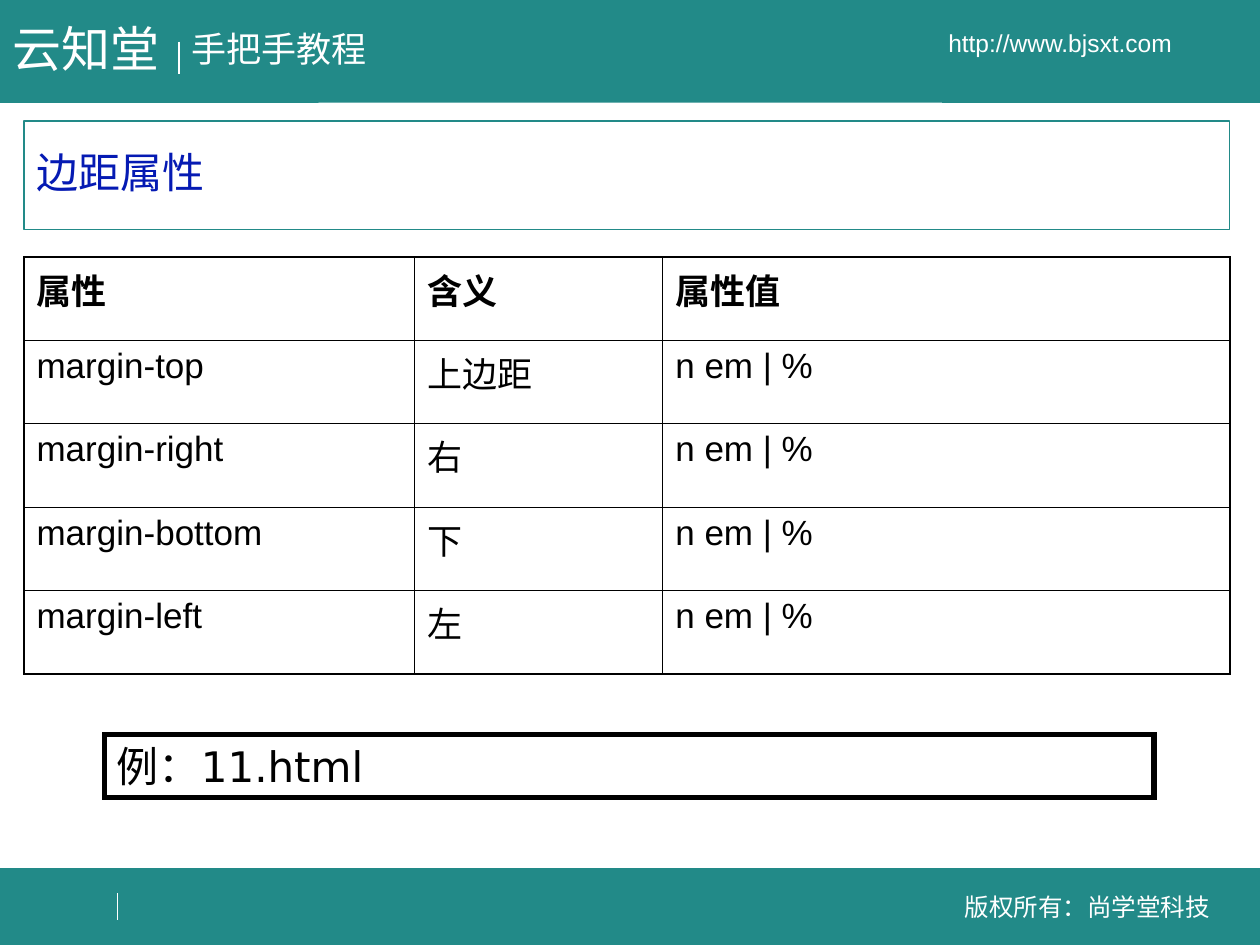
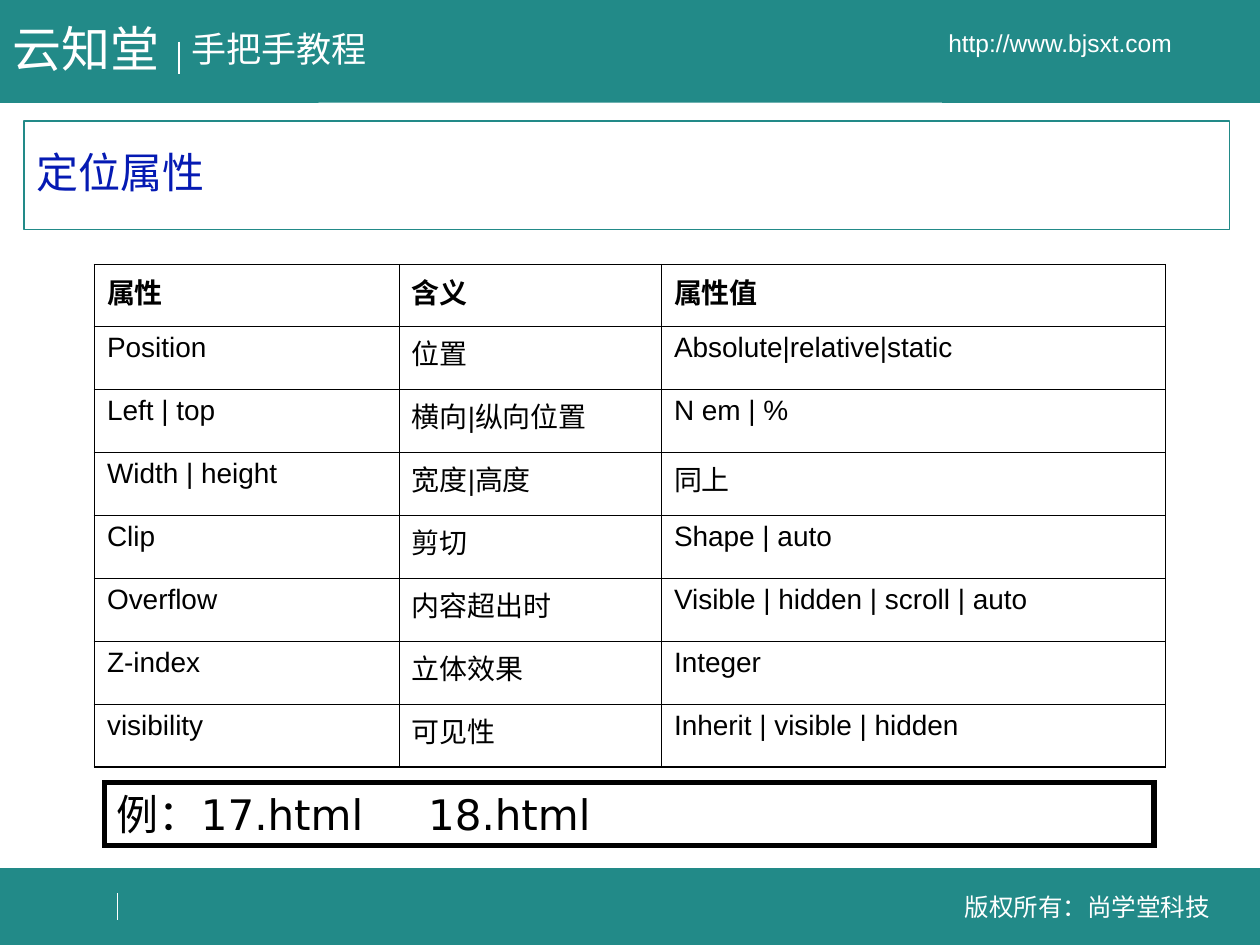
from dataclasses import dataclass
from typing import NamedTuple

import pptx
import pptx.dml.color
import pptx.enum.shapes
import pptx.enum.text
import pptx.oxml.ns
import pptx.util
from lxml import etree
from pptx.util import Inches

ALIGN = pptx.enum.text.PP_ALIGN
ANCHOR = pptx.enum.text.MSO_ANCHOR
AUTO_SIZE = pptx.enum.text.MSO_AUTO_SIZE


@dataclass(frozen=True)
class Theme:
    teal: str = "228A88"
    white: str = "FFFFFF"
    black: str = "000000"
    title_blue: str = "051AB3"
    body_font: str = "Arial"
    example_font: str = "DejaVu Sans"
    school_size: int = 28
    title_size: int = 24
    series_size: int = 20
    compact_size: int = 16
    small_size: int = 14
    hairline: float = 0.25
    rule: float = 0.75
    grid: float = 0.45
    frame: float = 1.08
    example_frame: float = 3


THEME = Theme()


class Box(NamedTuple):
    left: float
    top: float
    width: float
    height: float

    def lengths(self) -> list[int]:
        return [Inches(value) for value in self]


class Label(NamedTuple):
    text: str
    box: Box
    size: int
    space_after: int = 0
    centred: bool = False


class Divider(NamedTuple):
    x: float
    top: float
    bottom: float


@dataclass(frozen=True)
class PropertyTable:
    box: Box
    columns: tuple[float, ...]
    header_height: float
    size: int
    space_after: int
    rows: tuple[tuple[str, str, str], ...]


@dataclass(frozen=True)
class Lesson:
    title: str
    properties: PropertyTable
    examples: str
    examples_top: float


HEADINGS = ("属性", "含义", "属性值")
BANDS = (Box(0, 6.89, 10, 0.61), Box(0, 0, 10, 0.81))
DIVIDERS = (Divider(1.42, 0.33, 0.59), Divider(0.93, 7.09, 7.3))
LABELS = (
    Label("手把手教程", Box(1.42, 0.17, 1.65, 0.44), THEME.series_size, 5),
    Label("版权所有：尚学堂科技", Box(7.47, 7.03, 2.32, 0.34), THEME.small_size, centred=True),
    Label("http://www.bjsxt.com", Box(6.83, 0.17, 3.17, 0.34), THEME.small_size, centred=True),
    Label("云知堂", Box(0, 0.1, 1.42, 0.57), THEME.school_size, 7),
)
TITLE_BOX = Box(0.19, 0.96, 9.57, 0.86)
SECOND_EXAMPLE_TAB = 2.47

LESSONS = (
    Lesson(
        "边距属性",
        PropertyTable(
            Box(0.19, 2.04, 9.57, 3.31), (3.1, 1.97, 4.5), 0.66, THEME.series_size, 5,
            tuple(
                (f"margin-{side}", meaning, "n em | %")
                for side, meaning in (
                    ("top", "上边距"), ("right", "右"), ("bottom", "下"), ("left", "左"),
                )
            ),
        ),
        "例：11.html",
        5.83,
    ),
    Lesson(
        "定位属性",
        PropertyTable(
            Box(0.75, 2.1, 8.5, 3.99), (2.42, 2.08, 4), 0.49, THEME.compact_size, 4,
            (
                ("Position", "位置", "Absolute|relative|static"),
                ("Left | top", "横向|纵向位置", "N em | %"),
                ("Width | height", "宽度|高度", "同上"),
                ("Clip", "剪切", "Shape | auto"),
                ("Overflow", "内容超出时", "Visible | hidden | scroll | auto"),
                ("Z-index", "立体效果", "Integer"),
                ("visibility", "可见性", "Inherit | visible | hidden"),
            ),
        ),
        "例：17.html\t18.html",
        6.21,
    ),
)


def rgb(colour: str) -> pptx.dml.color.RGBColor:
    return pptx.dml.color.RGBColor.from_string(colour)


def paint(part, colour: str) -> None:
    part.fill.solid()
    part.fill.fore_color.rgb = rgb(colour)


def outline(part, colour: str, width: float) -> None:
    part.line.color.rgb = rgb(colour)
    part.line.width = pptx.util.Pt(width)


def write(frame, text: str, size: int, colour: str, font: str = THEME.body_font,
          bold: bool = False, space_after: int = 0, align=ALIGN.LEFT):
    paragraph = frame.paragraphs[0]
    paragraph.alignment = align
    paragraph.space_after = pptx.util.Pt(space_after)
    run = paragraph.add_run()
    run.text = text
    run.font.name = font
    run.font.size = pptx.util.Pt(size)
    run.font.bold = bold
    run.font.color.rgb = rgb(colour)
    return paragraph


def draw_rectangle(slide, box: Box, fill: str, line: str, width: float):
    rectangle = slide.shapes.add_shape(
        pptx.enum.shapes.MSO_SHAPE.RECTANGLE, *box.lengths())
    rectangle.shadow.inherit = False
    paint(rectangle, fill)
    outline(rectangle, line, width)
    border = rectangle._element.spPr.find(pptx.oxml.ns.qn("a:ln"))
    etree.SubElement(border, pptx.oxml.ns.qn("a:miter"), lim="800000")
    return rectangle


def draw_divider(slide, divider: Divider) -> None:
    x = Inches(divider.x)
    rule = slide.shapes.add_connector(
        pptx.enum.shapes.MSO_CONNECTOR.STRAIGHT,
        x, Inches(divider.top), x, Inches(divider.bottom))
    outline(rule, THEME.white, THEME.rule)
    etree.SubElement(rule._element.spPr, pptx.oxml.ns.qn("a:effectLst"))


def draw_label(slide, label: Label) -> None:
    frame = slide.shapes.add_textbox(*label.box.lengths()).text_frame
    frame.word_wrap = True
    frame.auto_size = AUTO_SIZE.NONE
    frame.vertical_anchor = ANCHOR.MIDDLE if label.centred else ANCHOR.TOP
    write(frame, label.text, label.size, THEME.white, space_after=label.space_after,
          align=ALIGN.CENTER if label.centred else ALIGN.LEFT)


def draw_surround(slide) -> None:
    for band in BANDS:
        draw_rectangle(slide, band, THEME.teal, THEME.teal, THEME.hairline)
    for divider in DIVIDERS:
        draw_divider(slide, divider)
    for label in LABELS:
        draw_label(slide, label)


def draw_title(slide, text: str) -> None:
    title = slide.shapes.title
    title.left, title.top, title.width, title.height = TITLE_BOX.lengths()
    outline(title, THEME.teal, THEME.rule)
    frame = title.text_frame
    frame.auto_size = AUTO_SIZE.NONE
    frame.word_wrap = True
    frame.vertical_anchor = ANCHOR.MIDDLE
    write(frame, text, THEME.title_size, THEME.title_blue).line_spacing = 0.9


def set_borders(cell, on_frame: dict[str, bool]) -> None:
    properties = cell._tc.get_or_add_tcPr()
    for edge, outer in on_frame.items():
        width = pptx.util.Pt(THEME.frame if outer else THEME.grid)
        line = etree.SubElement(properties, pptx.oxml.ns.qn(f"a:ln{edge}"), w=str(int(width)))
        fill = etree.SubElement(line, pptx.oxml.ns.qn("a:solidFill"))
        etree.SubElement(fill, pptx.oxml.ns.qn("a:srgbClr"), val=THEME.black)


def draw_properties(slide, properties: PropertyTable) -> None:
    rows = (HEADINGS, *properties.rows)
    last_row, last_column = len(rows) - 1, len(HEADINGS) - 1
    row_height = (properties.box.height - properties.header_height) / last_row
    table = slide.shapes.add_table(
        len(rows), len(HEADINGS), *properties.box.lengths()).table
    table.first_row = table.horz_banding = False
    for column, width in zip(table.columns, properties.columns):
        column.width = Inches(width)
    for r, texts in enumerate(rows):
        table.rows[r].height = Inches(row_height if r else properties.header_height)
        for c, text in enumerate(texts):
            cell = table.cell(r, c)
            set_borders(cell, {"L": c == 0, "R": c == last_column,
                               "T": r == 0, "B": r == last_row})
            paint(cell, THEME.white)
            write(cell.text_frame, text, properties.size, THEME.black,
                  bold=r == 0, space_after=properties.space_after)


def draw_examples(slide, lesson: Lesson) -> None:
    box = Box(0.83, lesson.examples_top, 8.33, 0.5)
    frame = draw_rectangle(
        slide, box, THEME.white, THEME.black, THEME.example_frame).text_frame
    frame.word_wrap = True
    frame.auto_size = AUTO_SIZE.SHAPE_TO_FIT_TEXT
    frame.vertical_anchor = ANCHOR.TOP
    if "\t" in lesson.examples:
        paragraph_properties = frame.paragraphs[0]._p.get_or_add_pPr()
        tabs = etree.SubElement(paragraph_properties, pptx.oxml.ns.qn("a:tabLst"))
        etree.SubElement(tabs, pptx.oxml.ns.qn("a:tab"),
                         pos=str(int(Inches(SECOND_EXAMPLE_TAB))), algn="l")
    write(frame, lesson.examples, THEME.title_size, THEME.black, THEME.example_font)


def main() -> None:
    deck = pptx.Presentation()
    deck.slide_width, deck.slide_height = Inches(10), Inches(7.5)
    title_only = deck.slide_layouts[5]
    for lesson in LESSONS:
        slide = deck.slides.add_slide(title_only)
        draw_surround(slide)
        draw_title(slide, lesson.title)
        draw_properties(slide, lesson.properties)
        draw_examples(slide, lesson)
    deck.save("out.pptx")


if __name__ == "__main__":
    main()
